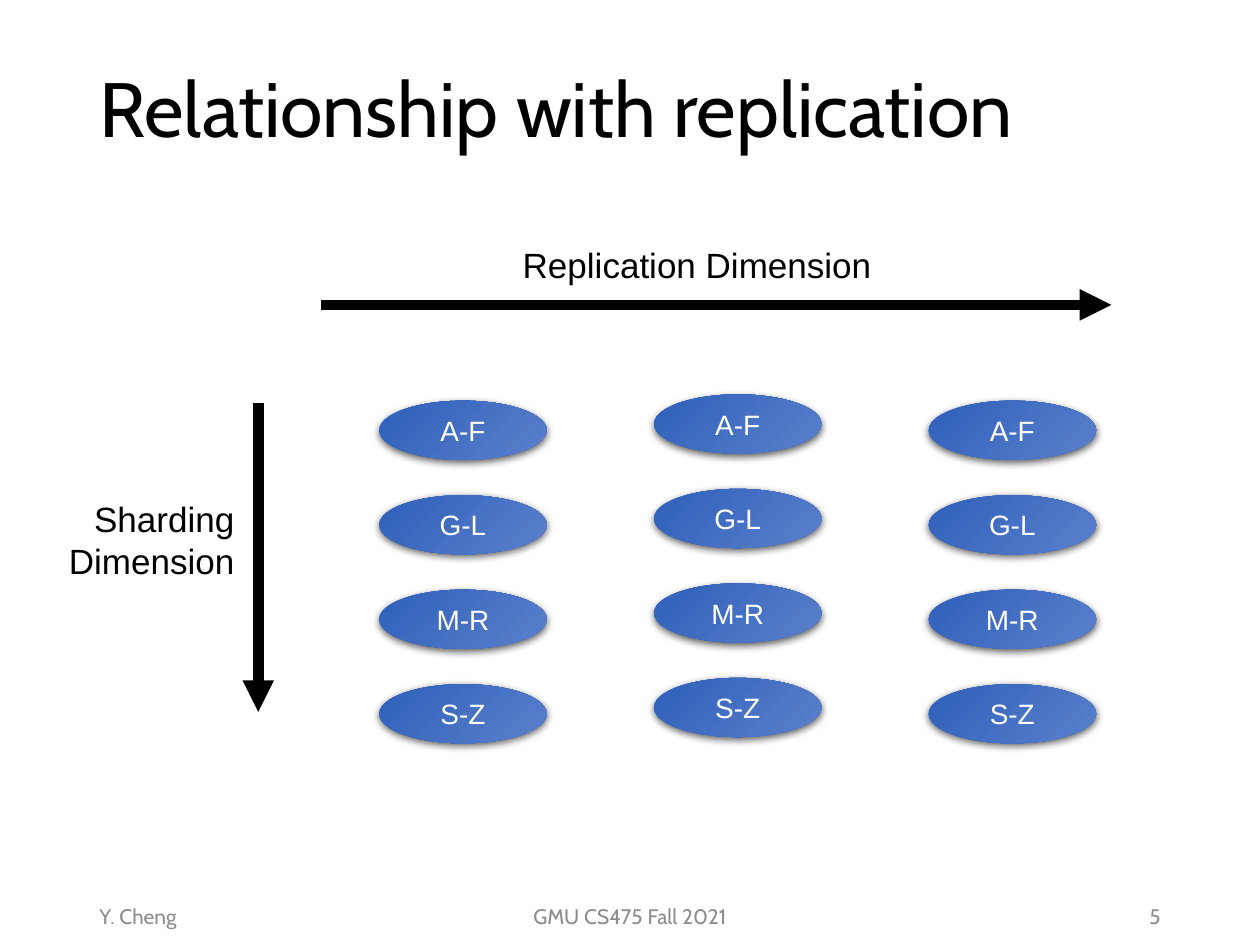
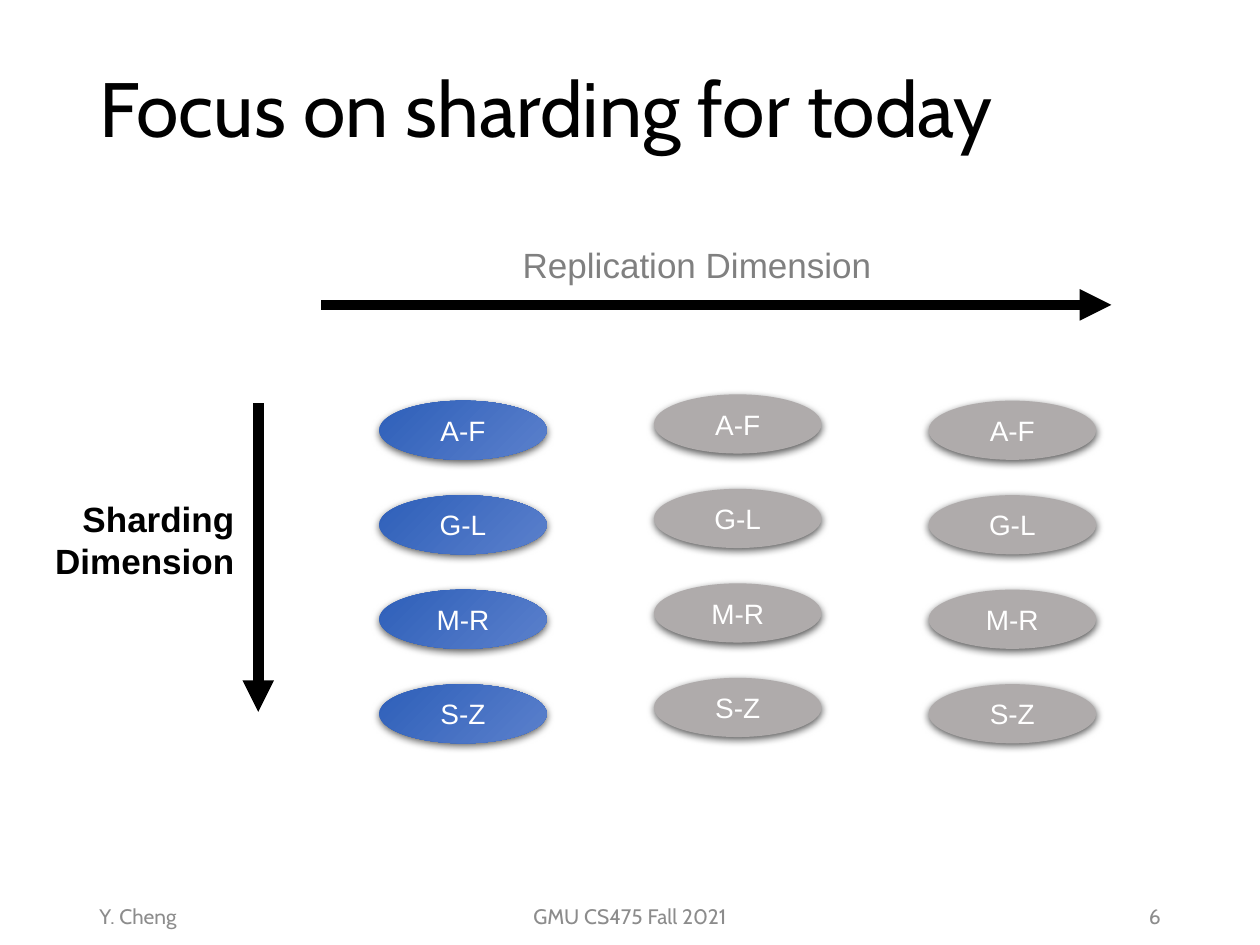
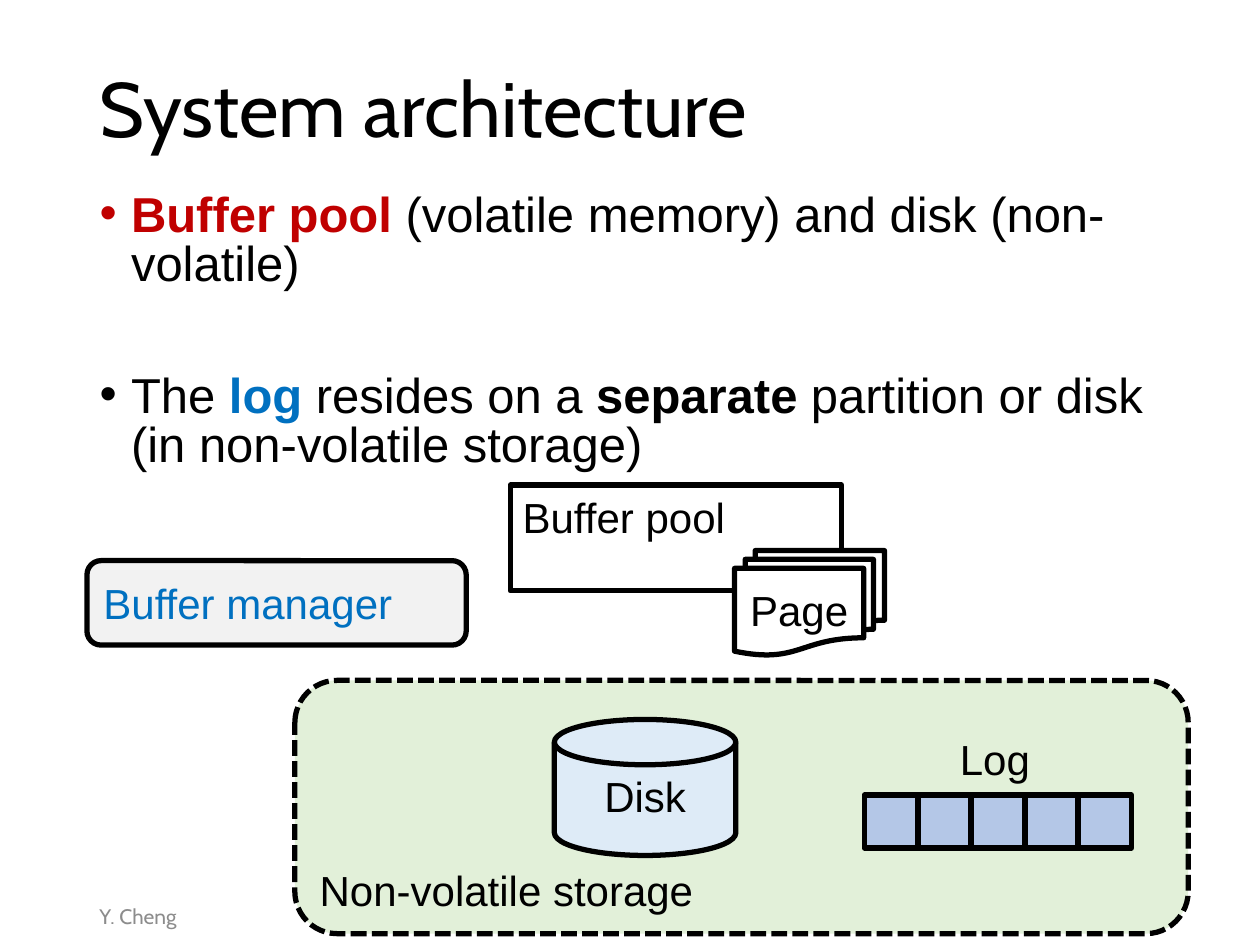
import pptx
import pptx.dml.color
import pptx.enum.dml
import pptx.enum.shapes
import pptx.enum.text
import pptx.oxml
import pptx.oxml.ns
import pptx.util
from pptx.util import Inches

SHAPE = pptx.enum.shapes.MSO_SHAPE
ALIGN = pptx.enum.text.PP_ALIGN
ANCHOR = pptx.enum.text.MSO_ANCHOR

BLACK, WHITE, GRAY, FOOTER_GRAY = "000000", "FFFFFF", "808080", "8C8C8C"
RED, BLUE = "C00000", "0070C0"
SHARD_BLUES, SHARD_GRAY = ("2E5FB9", "5B80CC"), "AFABAB"
TITLE_FONT, BODY_FONT = "Cabin", "Arial"

SHARDS = ["A-F", "G-L", "M-R", "S-Z"]
REPLICA_TOPS = [3.18, 3.13, 3.18]
DRAWING_NS = pptx.oxml.ns.nsdecls("a")
SHARD_SHADOW = (
    f'<a:effectLst {DRAWING_NS}><a:outerShdw blurRad="57150" dist="19050" dir="5400000" '
    'algn="ctr" rotWithShape="0"><a:srgbClr val="000000"><a:alpha val="63000"/>'
    '</a:srgbClr></a:outerShdw></a:effectLst>'
)


def rgb(value):
    return pptx.dml.color.RGBColor.from_string(value)


def box(left, top, width, height):
    return Inches(left), Inches(top), Inches(width), Inches(height)


def move(placeholder, left, top, width, height):
    placeholder.left, placeholder.top, placeholder.width, placeholder.height = box(
        left, top, width, height)


def style(paragraph, size, color=BLACK, name=BODY_FONT, bold=False, align=ALIGN.LEFT):
    paragraph.alignment = align
    font = paragraph.font
    font.size, font.name, font.bold = pptx.util.Pt(size), name, bold
    font.color.rgb = rgb(color)


def add_label(slide, text, place, size, anchor=ANCHOR.TOP, wrap=False, **font):
    frame = slide.shapes.add_textbox(*box(*place)).text_frame
    frame.word_wrap = wrap
    frame.vertical_anchor = anchor
    frame.paragraphs[0].text = text
    style(frame.paragraphs[0], size, **font)


def add_footer(slide, text, left, width, align):
    add_label(slide, text, (left, 7.07, width, 0.4), 12, anchor=ANCHOR.MIDDLE, wrap=True,
              color=FOOTER_GRAY, name=TITLE_FONT, align=align)


def add_titled_slide(deck, layout, title_text):
    slide = deck.slides.add_slide(deck.slide_layouts[layout])
    title = slide.shapes.title
    move(title, 0.69, 0.17, 8.62, 1.45)
    title.text_frame.auto_size = pptx.enum.text.MSO_AUTO_SIZE.NONE
    title.text_frame.vertical_anchor = ANCHOR.MIDDLE
    title.text_frame.text = title_text
    paragraph = title.text_frame.paragraphs[0]
    paragraph.line_spacing = 0.9
    style(paragraph, 44, name=TITLE_FONT)
    add_footer(slide, "Y. Cheng", 0.69, 2.25, ALIGN.LEFT)
    return slide


def add_arrow(slide, start, end):
    arrow = slide.shapes.add_connector(
        pptx.enum.shapes.MSO_CONNECTOR.STRAIGHT, *map(Inches, start + end))
    arrow.line.color.rgb = rgb(BLACK)
    arrow.line.width = pptx.util.Pt(6)
    arrow.line._get_or_add_ln().append(
        pptx.oxml.parse_xml(f'<a:tailEnd {DRAWING_NS} type="triangle"/>'))
    arrow._element.spPr.append(pptx.oxml.parse_xml(f"<a:effectLst {DRAWING_NS}/>"))


def add_block(slide, kind, place, fill=None, text="", size=24, color=BLACK,
              align=ALIGN.LEFT, anchor=ANCHOR.MIDDLE, outlined=True):
    block = slide.shapes.add_shape(kind, *box(*place))
    block.shadow.inherit = False
    if fill:
        block.fill.solid()
        block.fill.fore_color.rgb = rgb(fill)
    else:
        block.fill.background()
    if outlined:
        block.line.color.rgb = rgb(BLACK)
        block.line.width = pptx.util.Pt(3)
    else:
        block.line.fill.background()
    if text:
        frame = block.text_frame
        frame.vertical_anchor = anchor
        frame.text = text
        style(frame.paragraphs[0], size, color, align=align)
    return block


def add_shard(slide, text, left, top, active):
    shard = add_block(slide, SHAPE.OVAL, (left, top, 1.33, 0.47), SHARD_GRAY, text, 16,
                      WHITE, ALIGN.CENTER, outlined=False)
    if active:
        shard.fill.gradient()
        shard.fill.gradient_angle = 315
        for stop, color in zip(shard.fill.gradient_stops, SHARD_BLUES):
            stop.color.rgb = rgb(color)
    properties = shard._element.spPr
    properties.remove(properties.find(pptx.oxml.ns.qn("a:effectLst")))
    properties.append(pptx.oxml.parse_xml(SHARD_SHADOW))


def add_dimensions_slide(deck, title, number, active_replicas, replication_color,
                         sharding_place, sharding_bold):
    slide = add_titled_slide(deck, 5, title)
    add_footer(slide, "GMU CS475 Fall 2021", 3.31, 3.38, ALIGN.CENTER)
    add_footer(slide, number, 7.06, 2.25, ALIGN.RIGHT)
    for replica, top in enumerate(REPLICA_TOPS):
        for row, shard in enumerate(SHARDS):
            add_shard(slide, shard, 3.01 + 2.18 * replica, top + 0.75 * row,
                      replica < active_replicas)
    add_arrow(slide, (2.55, 2.42), (8.82, 2.42))
    add_label(slide, "Replication Dimension", (4.05, 1.88, 3.01, 0.44), 20,
              color=replication_color)
    add_arrow(slide, (2.05, 3.2), (2.05, 5.65))
    add_label(slide, "Sharding\nDimension", sharding_place, 20, bold=sharding_bold,
              align=ALIGN.RIGHT)


def add_bullets(slide, bullets, place, gap):
    body = slide.placeholders[1]
    move(body, *place)
    frame = body.text_frame
    frame.auto_size = pptx.enum.text.MSO_AUTO_SIZE.NONE
    for index, pieces in enumerate(bullets):
        paragraph = frame.add_paragraph() if index else frame.paragraphs[0]
        properties = paragraph._p.get_or_add_pPr()
        properties.set("marL", str(Inches(0.25)))
        properties.set("indent", str(Inches(-0.25)))
        paragraph.line_spacing = 0.84
        paragraph.space_before = pptx.util.Pt(gap if index else 0)
        style(paragraph, 28)
        for text, color, bold in pieces:
            run = paragraph.add_run()
            run.text = text
            run.font.bold = bold
            run.font.color.rgb = rgb(color)


def add_architecture_slide(deck):
    slide = add_titled_slide(deck, 1, "System architecture")
    add_bullets(slide, [
        [("Buffer pool ", RED, True),
         ("(volatile memory) and disk (non-volatile)", BLACK, False)],
        [("The ", BLACK, False), ("log ", BLUE, True), ("resides on a ", BLACK, False),
         ("separate", BLACK, True),
         (" partition or disk (in non-volatile storage)", BLACK, False)],
    ], (0.69, 1.48, 8.62, 2.28), 47)
    storage = add_block(slide, SHAPE.ROUNDED_RECTANGLE, (2.34, 5.4, 7.09, 2.01), "E2F0D9",
                        "Non-volatile storage", anchor=ANCHOR.BOTTOM)
    storage.line.dash_style = pptx.enum.dml.MSO_LINE.SQUARE_DOT
    add_block(slide, SHAPE.FLOWCHART_MAGNETIC_DISK, (4.4, 5.71, 1.44, 1.08), "DEEBF7",
              "Disk", align=ALIGN.CENTER, anchor=ANCHOR.TOP)
    add_label(slide, "Log", (7.52, 5.77, 0.78, 0.5), 24)
    for entry in range(5):
        add_block(slide, SHAPE.RECTANGLE, (6.86 + 1.7 * entry / 4, 6.31, 0.42, 0.42),
                  "B4C7E7")
    add_block(slide, SHAPE.RECTANGLE, (4.05, 3.85, 2.63, 0.84), text="Buffer pool",
              anchor=ANCHOR.TOP)
    add_block(slide, SHAPE.FLOWCHART_ALTERNATE_PROCESS, (0.69, 4.45, 3.01, 0.67), "F2F2F2",
              "Buffer manager", color=BLUE)
    add_block(slide, SHAPE.FLOWCHART_MULTIDOCUMENT, (5.83, 4.37, 1.19, 0.83), WHITE,
              "Page", align=ALIGN.CENTER)


def main():
    deck = pptx.Presentation()
    deck.slide_width, deck.slide_height = Inches(10), Inches(7.5)
    add_dimensions_slide(deck, "Relationship with replication", "5", 3, BLACK,
                         (0.43, 3.9, 1.53, 0.77), False)
    add_dimensions_slide(deck, "Focus on sharding for today", "6", 1, GRAY,
                         (0.33, 3.9, 1.63, 0.77), True)
    add_architecture_slide(deck)
    deck.save("out.pptx")


if __name__ == "__main__":
    main()
